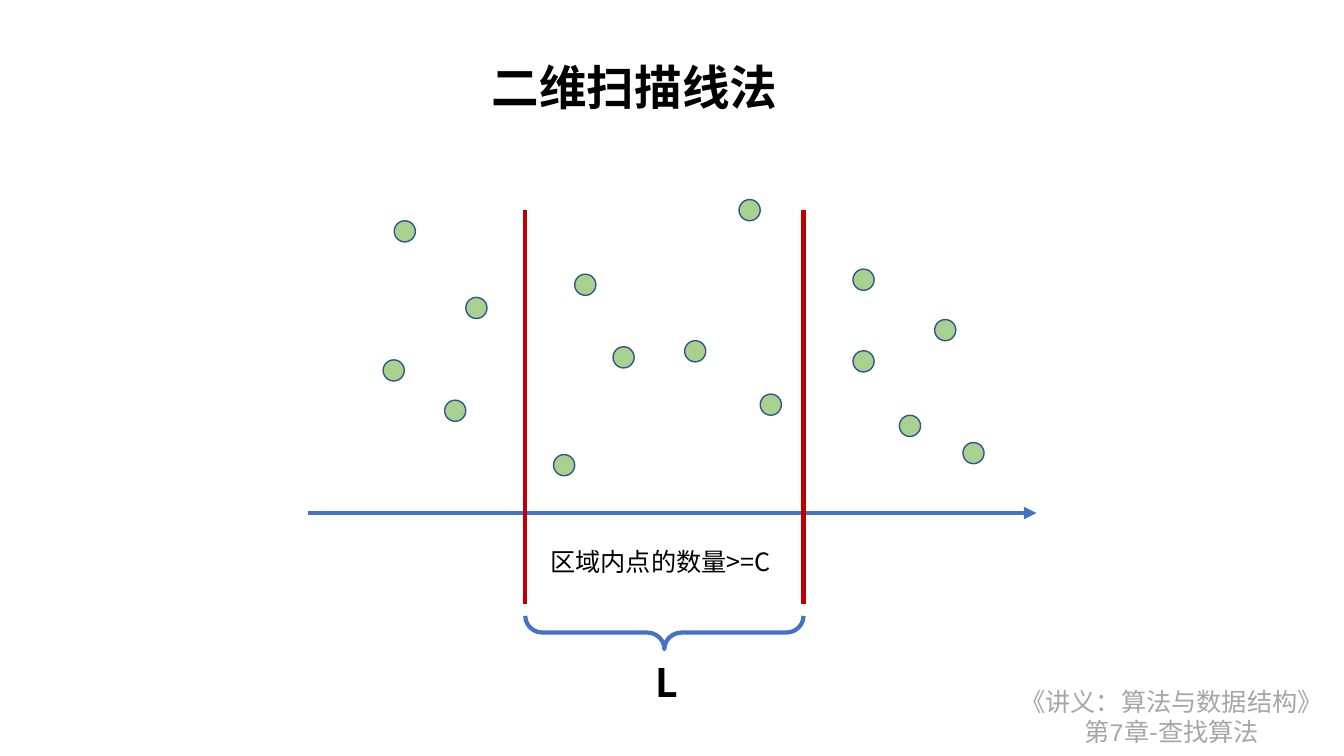
from pptx import Presentation
from pptx.dml.color import RGBColor
from pptx.enum.shapes import MSO_CONNECTOR, MSO_SHAPE
from pptx.enum.text import MSO_ANCHOR, PP_ALIGN
from pptx.oxml.ns import qn
from pptx.util import Inches, Pt
from lxml import etree

BLACK = RGBColor(0x00, 0x00, 0x00)
GRAY = RGBColor(0xA6, 0xA6, 0xA6)
BLUE = RGBColor(0x44, 0x72, 0xC4)
RED = RGBColor(0xC0, 0x00, 0x00)
GREEN = RGBColor(0xA9, 0xD1, 0x8E)
DOT_EDGE = RGBColor(0x32, 0x54, 0x91)
CJK_FONT = "Noto Sans CJK SC"
DIGIT_FONT = "Courier New"

DOT_SIZE = 0.21
POINTS = [
    (2.65, 0.74), (3.74, 1.40), (3.03, 1.46), (4.49, 1.93), (2.44, 2.53),
    (4.28, 0.00), (5.41, 0.69), (5.41, 1.50), (6.22, 1.19), (6.50, 2.41),
    (5.87, 2.14), (0.86, 0.21), (1.57, 0.97), (0.75, 1.59), (1.36, 1.99),
]


def add_text(slide, box, paragraphs, size, color, bold=False,
             align=PP_ALIGN.LEFT, anchor=MSO_ANCHOR.TOP, wrap=True):
    frame = slide.shapes.add_textbox(*map(Inches, box)).text_frame
    frame.word_wrap = wrap
    frame.vertical_anchor = anchor
    for index, runs in enumerate(paragraphs):
        paragraph = frame.paragraphs[0] if index == 0 else frame.add_paragraph()
        paragraph.alignment = align
        for text, font_name in runs:
            run = paragraph.add_run()
            run.text = text
            font = run.font
            font.name, font.size, font.bold = font_name, Pt(size), bold
            font.color.rgb = color
            east_asian = etree.SubElement(run._r.get_or_add_rPr(), qn("a:ea"))
            east_asian.set("typeface", font_name)


def add_line(slide, start, end, color, arrow=False):
    connector = slide.shapes.add_connector(
        MSO_CONNECTOR.STRAIGHT, *map(Inches, (*start, *end)))
    connector.line.color.rgb = color
    connector.line.width = Pt(3)
    if arrow:
        head = etree.SubElement(connector.line._get_or_add_ln(), qn("a:tailEnd"))
        head.set("type", "triangle")
    etree.SubElement(connector._element.spPr, qn("a:effectLst"))


def add_dot(slide, left, top):
    dot = slide.shapes.add_shape(
        MSO_SHAPE.OVAL, *map(Inches, (left, top, DOT_SIZE, DOT_SIZE)))
    dot.shadow.inherit = False
    dot.fill.solid()
    dot.fill.fore_color.rgb = GREEN
    dot.line.color.rgb = DOT_EDGE
    dot.line.width = Pt(1)


def add_brace(slide, left, top, width, height):
    center_x, center_y = left + width / 2, top + height / 2
    brace = slide.shapes.add_shape(
        MSO_SHAPE.LEFT_BRACE,
        *map(Inches, (center_x - height / 2, center_y - width / 2, height, width)))
    brace.rotation = 270
    brace.adjustments[0] = 0.516
    brace.adjustments[1] = 0.5
    brace.shadow.inherit = False
    brace.fill.background()
    brace.line.color.rgb = BLUE
    brace.line.width = Pt(3)


def build_footer(slide, box):
    book = [("《讲义：算法与数据结构》", CJK_FONT)]
    chapter = [("第", CJK_FONT), ("7", DIGIT_FONT), ("章-查找算法", CJK_FONT)]
    add_text(slide, box, [book, chapter], 18, GRAY,
             align=PP_ALIGN.CENTER, wrap=False)


def build_title(slide, box):
    add_text(slide, box, [[("二维扫描线法", CJK_FONT)]], 34, BLACK, bold=True,
             align=PP_ALIGN.JUSTIFY, anchor=MSO_ANCHOR.MIDDLE)


def build_sweep_diagram(slide, box):
    left, top, width, height = box
    axis_y = top + 3.11
    window_left, window_width = left + 2.16, 2.76
    add_line(slide, (left, axis_y), (left + width, axis_y), BLUE, arrow=True)
    for x in (window_left, window_left + window_width):
        add_line(slide, (x, top + 0.1), (x, top + 4.01), RED)
    add_brace(slide, window_left, top + 4.13, window_width, 0.33)
    add_text(slide, (left + 3.35, top + height - 0.57, 0.39, 0.57),
             [[("L", CJK_FONT)]], 28, BLACK, bold=True)
    for x, y in POINTS:
        add_dot(slide, left + x, top + y)
    add_text(slide, (window_left + 0.15, axis_y + 0.28, 2.46, 0.4),
             [[("区域内点的数量>=C", CJK_FONT)]], 18, BLACK, wrap=False)


presentation = Presentation()
presentation.slide_width = Inches(13.33)
presentation.slide_height = Inches(7.5)
slide = presentation.slides.add_slide(presentation.slide_layouts[6])
build_footer(slide, (9.97, 6.76, 3.3, 0.71))
build_title(slide, (4.78, 0.48, 3.77, 0.75))
build_sweep_diagram(slide, (3.05, 1.98, 7.23, 5.07))
presentation.save("out.pptx")
